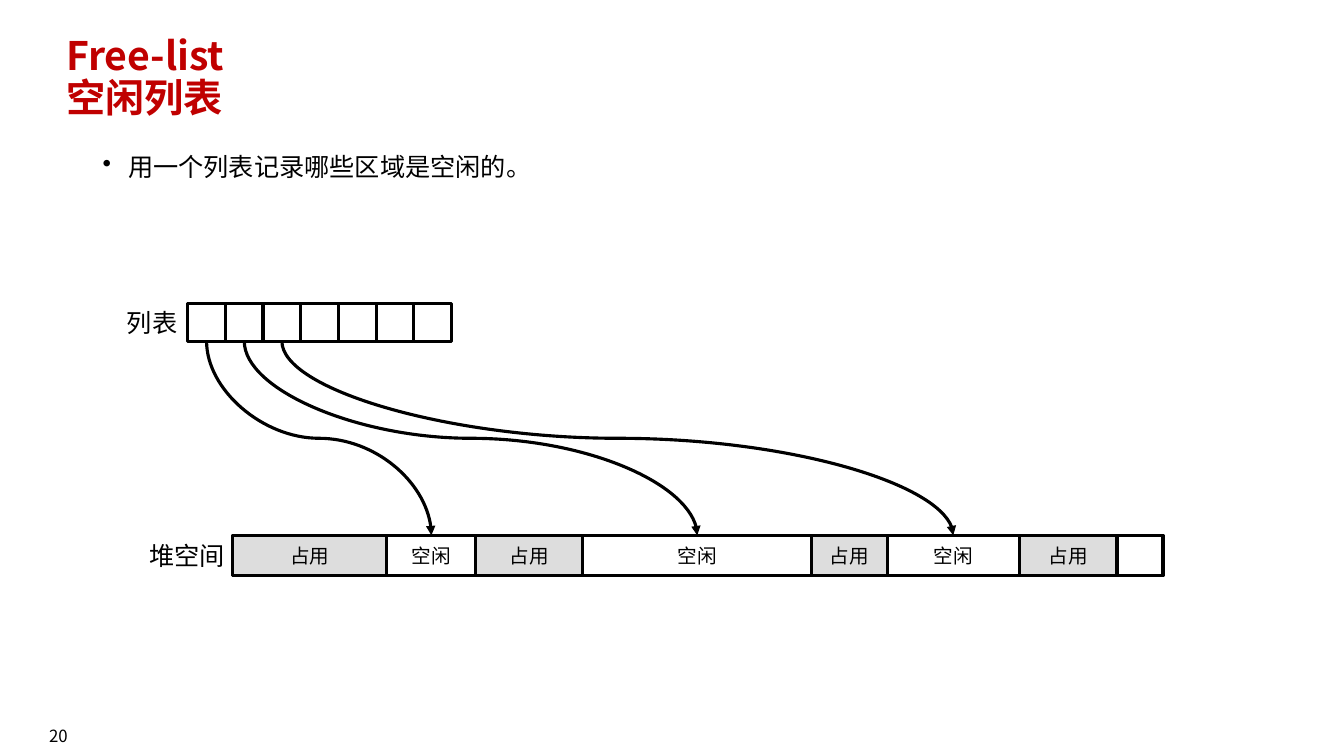
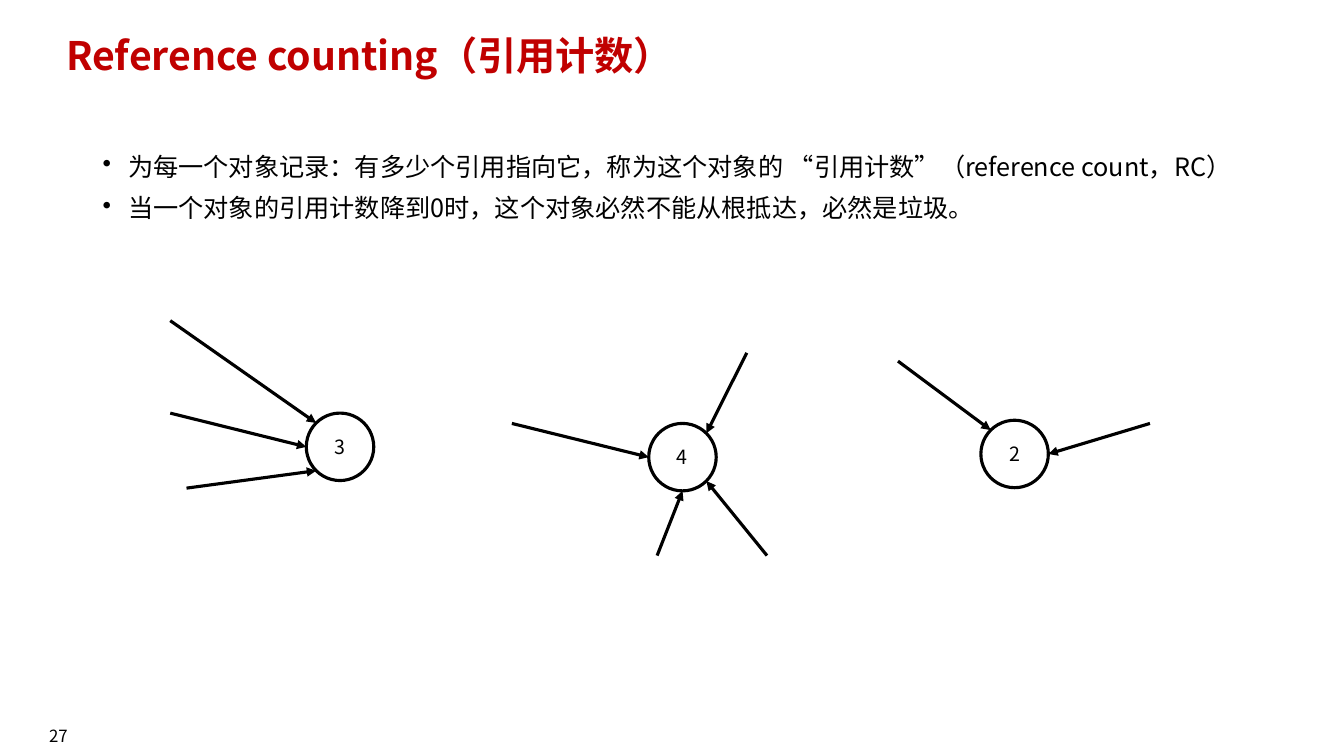
import math

import pptx
import pptx.dml.color
import pptx.enum.shapes
import pptx.enum.text
import pptx.oxml.ns
import pptx.util
from lxml import etree

Cm, Pt = pptx.util.Cm, pptx.util.Pt
RGBColor = pptx.dml.color.RGBColor
PRESET = pptx.enum.shapes.MSO_SHAPE
CONNECTOR = pptx.enum.shapes.MSO_CONNECTOR
ALIGN = pptx.enum.text.PP_ALIGN
MIDDLE = pptx.enum.text.MSO_ANCHOR.MIDDLE
qn = pptx.oxml.ns.qn

FONT = "Noto Sans CJK SC"
RED = RGBColor(0xC0, 0x00, 0x00)
BLACK = RGBColor(0x00, 0x00, 0x00)
WHITE = RGBColor(0xFF, 0xFF, 0xFF)
GREY = RGBColor(0xDD, 0xDD, 0xDD)
STROKE = Pt(2.25)


def add_run(paragraph, text, size, color=BLACK, bold=False):
    run = paragraph.add_run()
    run.text = text
    run.font.size = Pt(size)
    run.font.bold = bold
    run.font.color.rgb = color
    run.font.name = FONT
    etree.SubElement(run.font._element, qn("a:ea"), typeface=FONT)


def add_block(slide, preset, left, top, width, height, fill=WHITE, text=""):
    block = slide.shapes.add_shape(preset, Cm(left), Cm(top), Cm(width), Cm(height))
    block.shadow.inherit = False
    block.fill.solid()
    block.fill.fore_color.rgb = fill
    block.line.color.rgb = BLACK
    block.line.width = STROKE
    if text:
        frame = block.text_frame
        frame.margin_left = frame.margin_right = 0
        frame.margin_top = frame.margin_bottom = 0
        frame.vertical_anchor = MIDDLE
        frame.paragraphs[0].alignment = ALIGN.CENTER
        add_run(frame.paragraphs[0], text, 14)
    return block


deck = pptx.Presentation()
deck.slide_width, deck.slide_height = Cm(33.87), Cm(19.05)

# Page number, title and bullets of every slide
pages = [
    ("20", ["Free-list", "空闲列表"], ["用一个列表记录哪些区域是空闲的。"]),
    ("27", ["Reference counting（引用计数）"], [
        "为每一个对象记录：有多少个引用指向它，称为这个对象的 “引用计数”（reference count，RC）",
        "当一个对象的引用计数降到0时，这个对象必然不能从根抵达，必然是垃圾。",
    ]),
]
for number, title_lines, bullets in pages:
    slide = deck.slides.add_slide(deck.slide_layouts[6])

    page_number = slide.shapes.add_textbox(0, Cm(18.03), Cm(2.95), Cm(1.02)).text_frame
    page_number.vertical_anchor = MIDDLE
    page_number.word_wrap = True
    page_number.paragraphs[0].alignment = ALIGN.CENTER
    add_run(page_number.paragraphs[0], number, 12)

    title = slide.shapes.add_textbox(Cm(1.42), Cm(0.79), Cm(29.2), Cm(1.65)).text_frame
    title.word_wrap = True
    heading = title.paragraphs[0]
    heading.line_spacing = 0.9
    for index, line in enumerate(title_lines):
        if index:
            heading.add_line_break()
        add_run(heading, line, 28, RED, True)

    body = slide.shapes.add_textbox(Cm(2.34), Cm(3.78), Cm(29.2), Cm(12.1)).text_frame
    body.word_wrap = True
    for index, bullet in enumerate(bullets):
        point = body.add_paragraph() if index else body.paragraphs[0]
        properties = point._p.get_or_add_pPr()
        properties.set("marL", str(Cm(0.64)))
        properties.set("indent", str(-Cm(0.64)))
        etree.SubElement(properties, qn("a:buChar"), char="•")
        point.line_spacing = 0.9
        if index:
            point.space_before = Pt(10)
        add_run(point, bullet, 18)

free_list, counting = deck.slides
arrows = []

# Heap: used and free areas side by side
HEAP_LEFT, HEAP_TOP, HEAP_HEIGHT = 5.87, 13.49, 1.02
add_block(free_list, PRESET.RECTANGLE, HEAP_LEFT, HEAP_TOP, 23.44, HEAP_HEIGHT)
free_areas = []
area_left = HEAP_LEFT
for index, width in enumerate([3.88, 2.24, 2.69, 5.78, 1.9, 3.33, 2.46]):
    is_free = index % 2 == 1
    area = add_block(free_list, PRESET.RECTANGLE, area_left, HEAP_TOP, width, HEAP_HEIGHT,
                     WHITE if is_free else GREY, "空闲" if is_free else "占用")
    if is_free:
        free_areas.append(area)
    area_left += width

# List cells
CELL = 0.95
cells = [add_block(free_list, PRESET.RECTANGLE, 4.73 + index * CELL, 7.65, CELL, CELL)
         for index in range(7)]

# Curves from the first cells down to the free areas
for cell, area in zip(cells, free_areas):
    pointer = free_list.shapes.add_connector(CONNECTOR.CURVE, 0, 0, 0, 0)
    pointer.begin_connect(cell, 2)
    pointer.end_connect(area, 0)
    across, down = pointer.width, pointer.height
    # A quarter turn makes the curve leave and arrive vertically
    pointer.left += (across - down) // 2
    pointer.top += (down - across) // 2
    pointer.width, pointer.height = down, across
    turn = pointer._element.spPr.find(qn("a:xfrm"))
    turn.set("rot", str(270 * 60000))
    turn.set("flipH", "1")
    arrows.append(pointer)

# Labels beside the list and the heap
for text, left, top in [("列表", 1.35, 7.75), ("堆空间", 2.54, 13.61)]:
    label = free_list.shapes.add_textbox(Cm(left), Cm(top), Cm(3.12), Cm(0.76)).text_frame
    label.margin_left = label.margin_right = label.margin_top = label.margin_bottom = 0
    label.word_wrap = True
    label.paragraphs[0].alignment = ALIGN.RIGHT
    add_run(label.paragraphs[0], text, 18)

# Objects: centre, then each reference's start and the angle where it meets the circle
RADIUS = 0.85
objects = [
    (8.57, 11.26, [(4.29, 8.08, 225), (4.29, 10.41, 180), (4.7, 12.3, 135)]),
    (17.2, 11.52, [(12.9, 10.67, 180), (18.82, 8.89, 315), (16.56, 14, 90), (19.33, 14, 45)]),
    (25.57, 11.44, [(22.63, 9.1, 225), (28.98, 10.67, 0)]),
]
for center_x, center_y, references in objects:
    add_block(counting, PRESET.OVAL, center_x - RADIUS, center_y - RADIUS,
              2 * RADIUS, 2 * RADIUS, text=str(len(references)))
    for start_x, start_y, degrees in references:
        angle = math.radians(degrees)
        arrows.append(counting.shapes.add_connector(
            CONNECTOR.STRAIGHT, Cm(start_x), Cm(start_y),
            Cm(center_x + RADIUS * math.cos(angle)),
            Cm(center_y + RADIUS * math.sin(angle))))

# Shared arrow style
for arrow in arrows:
    arrow.line.color.rgb = BLACK
    arrow.line.width = STROKE
    etree.SubElement(arrow.line._get_or_add_ln(), qn("a:tailEnd"), type="triangle")
    etree.SubElement(arrow._element.spPr, qn("a:effectLst"))

deck.save("out.pptx")
